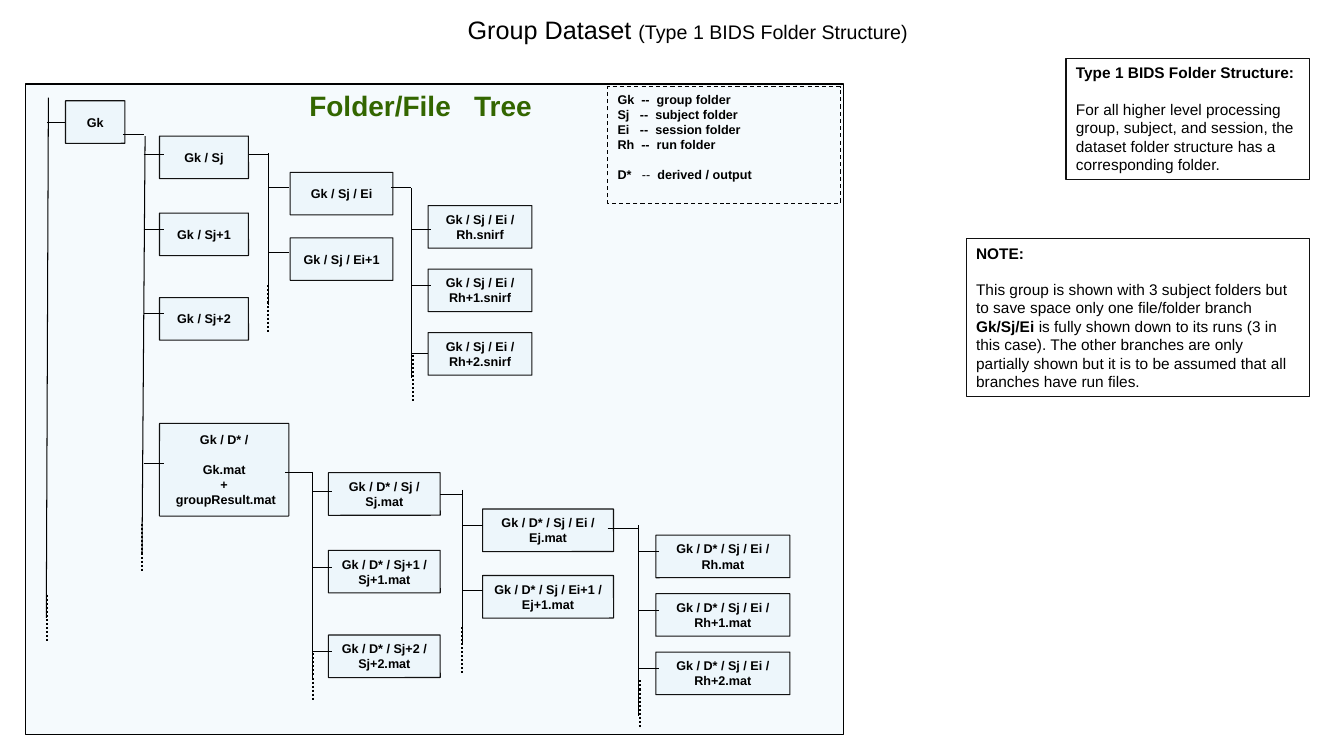
"""Build the group dataset slide: a folder tree, its legend and two notes."""
from dataclasses import dataclass
from typing import Optional

from lxml import etree
from pptx import Presentation
from pptx.dml import color
from pptx.enum import dml, shapes, text
from pptx.oxml import ns
from pptx.util import Pt

BLACK = color.RGBColor(0x00, 0x00, 0x00)
EDGE = color.RGBColor(0x11, 0x11, 0x11)
PALE_BLUE = color.RGBColor(0xCF, 0xE7, 0xF5)
GREEN = color.RGBColor(0x33, 0x66, 0x00)
FONT = "Arial"
LINE_HEIGHT = 1.15
BOX_HEIGHT = 30.4
STUB = 14.4
DOTS = 34.2
LEFT, RIGHT = 1, 3
CENTER = text.PP_ALIGN.CENTER
TOP, MIDDLE = text.MSO_ANCHOR.TOP, text.MSO_ANCHOR.MIDDLE


@dataclass
class Node:
    label: str
    top: float
    stub_y: float
    width: Optional[float] = None
    height: float = BOX_HEIGHT
    gap_at: Optional[int] = None


@dataclass
class Branch:
    x: float
    top: float
    end_x: float
    bottom: float
    dots_x: float
    dots_top: float
    left: float
    width: float
    nodes: list[Node]
    parent: Optional[str] = None
    feed_x: float = 0
    feed_y: float = 0


@dataclass
class Panel:
    left: float
    top: float
    width: float
    height: float
    lines: list[str]
    size: float
    gap_at: int
    edge: color.RGBColor = EDGE
    dash: Optional[dml.MSO_LINE] = None


BRANCHES = [
    Branch(34.6, 69.8, 33.1, 441.4, 33.8, 424.8, 46.8, 42.5, [Node("Gk", 72, 87.2)]),
    Branch(103.7, 97.2, 101.5, 395.3, 101.5, 374.4, 114, 63.6, [
        Node("Gk / Sj", 97.2, 110.2),
        Node("Gk / Sj+1", 152.2, 164.2),
        Node("Gk / Sj+2", 212.6, 223.9),
        Node("Gk / D* /\nGk.mat\n+\n groupResult.mat", 302.4, 331.2, 92.4, 66.2, 1),
    ], "Gk", 87.8, 95.8),
    Branch(192.2, 109.4, 192.2, 218.2, 191.5, 203.8, 207.4, 73.4, [
        Node("Gk / Sj / Ei", 123.1, 133.9),
        Node("Gk / Sj / Ei+1", 169.9, 180.7),
    ], "Gk / Sj", 177.8, 110.2),
    Branch(293.8, 134.6, 293.8, 270, 295.2, 253.4, 306, 74.2, [
        Node("Gk / Sj / Ei /\nRh.snirf", 146.9, 164.2),
        Node("Gk / Sj / Ei /\nRh+1.snirf", 192.2, 203.8),
        Node("Gk / Sj / Ei /\nRh+2.snirf", 237.6, 252.8),
    ], "Gk / Sj / Ei", 279.4, 133.9),
    Branch(223.2, 337, 223.2, 486, 223.9, 466.6, 234.7, 79.9, [
        Node("Gk / D* / Sj /\nSj.mat", 337.7, 351.4),
        Node("Gk / D* / Sj+1 /\nSj+1.mat", 393.1, 405.4),
        Node("Gk / D* / Sj+2 /\nSj+2.mat", 453.6, 465.1),
    ], "Gk / D* /\nGk.mat\n+\n groupResult.mat", 203.8, 337.7),
    Branch(330.5, 349.9, 330.5, 459.4, 330.5, 447.8, 344.9, 93.6, [
        Node("Gk / D* / Sj / Ei /\nEj.mat", 363.6, 375.1),
        Node("Gk / D* / Sj / Ei+1 /\nEj+1.mat", 411.1, 421.9),
    ], "Gk / D* / Sj /\nSj.mat", 316.1, 352.9),
    Branch(456.5, 375.1, 456.5, 511.2, 457.2, 486, 468.7, 95.8, [
        Node("Gk / D* / Sj / Ei /\nRh.mat", 382.3, 393.8),
        Node("Gk / D* / Sj / Ei /\nRh+1.mat", 424.1, 436.3),
        Node("Gk / D* / Sj / Ei /\nRh+2.mat", 465.8, 477.4),
    ], "Gk / D* / Sj / Ei /\nEj.mat", 434.2, 377.3),
]

PANELS = [
    Panel(434.2, 61.9, 166.3, 83.5,
          ["|Gk  --  group folder", "|Sj   --  subject folder", "|Ei   --  session folder",
           "|Rh  --  run folder", "|D*   |--|  derived / output"],
          9, 4, BLACK, dml.MSO_LINE.DASH),
    Panel(761.8, 41.8, 174.2, 86.4,
          ["|Type 1 BIDS Folder Structure:",
           "For all higher level processing group, subject, and session, the dataset "
           "folder structure has a corresponding folder."], 11, 1),
    Panel(690.5, 170.6, 245.5, 113,
          ["|NOTE:",
           "This group is shown with 3 subject folders but to save space only one file/folder "
           "branch |Gk/Sj/Ei |is fully shown down to its runs (3 in this case). The other "
           "branches are only partially shown but it is to be assumed that all branches "
           "have run files."], 11, 1),
]


def write(s, lines: list[str], size: float, align=text.PP_ALIGN.LEFT, anchor=TOP,
          rgb=BLACK, gap_at: Optional[int] = None) -> None:
    """Write one paragraph a line; each bar switches bold on or off."""
    tf = s.text_frame
    tf.word_wrap = True
    tf.vertical_anchor = anchor
    for i, line in enumerate(lines):
        p = tf.paragraphs[0] if i == 0 else tf.add_paragraph()
        p.alignment = align
        if i == gap_at:
            p.space_before = Pt(round(size * LINE_HEIGHT, 2))
        for j, part in enumerate(line.split("|")):
            if part:
                r = p.add_run()
                r.text = part
                r.font.name, r.font.size, r.font.bold = FONT, Pt(size), j % 2 == 1
                r.font.color.rgb = rgb


def add_box(sp, left: float, top: float, width: float, height: float,
            rounding: float, edge: color.RGBColor):
    """Add a rounded box with a faint blue fill."""
    s = sp.add_shape(shapes.MSO_SHAPE.ROUNDED_RECTANGLE, Pt(left), Pt(top), Pt(width), Pt(height))
    s.shadow.inherit = False
    s.adjustments[0] = rounding
    s.fill.solid()
    s.fill.fore_color.rgb = PALE_BLUE
    tint = s.fill._xPr.find(".//" + ns.qn("a:srgbClr"))
    etree.SubElement(tint, ns.qn("a:alpha"), val="20000")
    s.line.color.rgb, s.line.width = edge, Pt(0.75)
    return s


def add_line(sp, x1: float, y1: float, x2: float, y2: float, dotted: bool = False):
    """Add a straight black line, solid or dotted."""
    c = sp.add_connector(shapes.MSO_CONNECTOR.STRAIGHT, Pt(x1), Pt(y1), Pt(x2), Pt(y2))
    c.line.color.rgb, c.line.width = BLACK, Pt(1.45 if dotted else 0.75)
    if dotted:
        c.line.dash_style = dml.MSO_LINE.ROUND_DOT
    etree.SubElement(c._element.spPr, ns.qn("a:effectLst"))
    return c


def at_middle(s, y: float) -> bool:
    """Tell whether a height is the middle of a shape's side."""
    return abs(s.top + s.height / 2 - Pt(y)) < Pt(0.5)


def add_branch(sp, b: Branch, boxes: dict) -> None:
    """Draw a trunk with its boxes, stubs, feed and dotted tail."""
    add_line(sp, b.x, b.top, b.end_x, b.bottom)
    add_line(sp, b.dots_x, b.dots_top, b.dots_x, b.dots_top + DOTS, dotted=True)
    trunk_x = (b.x + b.end_x) / 2
    for n in b.nodes:
        s = add_box(sp, b.left, n.top, n.width or b.width, n.height, 0.005, EDGE)
        write(s, ["|" + line for line in n.label.split("\n")], 9, CENTER, MIDDLE, gap_at=n.gap_at)
        boxes[n.label] = s
        c = add_line(sp, trunk_x, n.stub_y, trunk_x + STUB, n.stub_y)
        if at_middle(s, n.stub_y):
            c.end_connect(s, LEFT)
    if b.parent:
        c = add_line(sp, b.feed_x, b.feed_y, trunk_x, b.feed_y)
        if at_middle(boxes[b.parent], b.feed_y):
            c.begin_connect(boxes[b.parent], RIGHT)


def add_panel(sp, panel: Panel) -> None:
    """Add an unfilled, outlined text panel."""
    s = sp.add_shape(shapes.MSO_SHAPE.RECTANGLE, Pt(panel.left), Pt(panel.top),
                     Pt(panel.width), Pt(panel.height))
    s.shadow.inherit = False
    s.fill.background()
    s.line.color.rgb, s.line.width = panel.edge, Pt(0.75)
    if panel.dash:
        s.line.dash_style = panel.dash
    write(s, panel.lines, panel.size, gap_at=panel.gap_at)


def main() -> None:
    """Build and save the slide."""
    prs = Presentation()
    prs.slide_width, prs.slide_height = Pt(960.5), Pt(540)
    sp = prs.slides.add_slide(prs.slide_layouts[6]).shapes
    add_box(sp, 18, 60, 584.6, 464.4, 0, BLACK)
    heading = sp.add_textbox(Pt(203.8), Pt(59.8), Pt(193.7), Pt(55.4))
    write(heading, ["|Folder/File   Tree"], 20, CENTER, rgb=GREEN)
    boxes: dict = {}
    for b in BRANCHES:
        add_branch(sp, b, boxes)
    title = sp.add_textbox(Pt(269.3), Pt(6.5), Pt(448.6), Pt(31))
    write(title, ["Group Dataset ||(Type 1 BIDS Folder Structure) "], 18, CENTER)
    title.text_frame.paragraphs[0].runs[1].font.size = Pt(14)
    for panel in PANELS:
        add_panel(sp, panel)
    prs.save("out.pptx")


if __name__ == "__main__":
    main()
